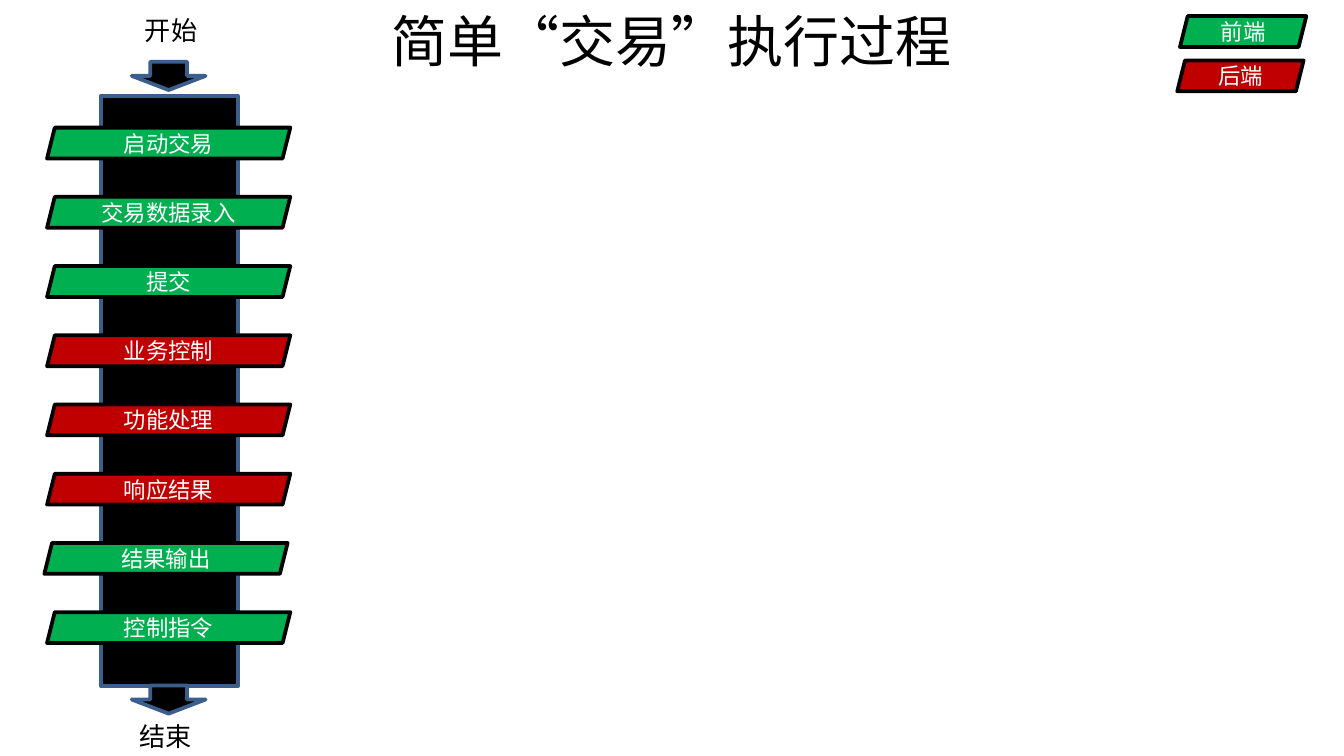
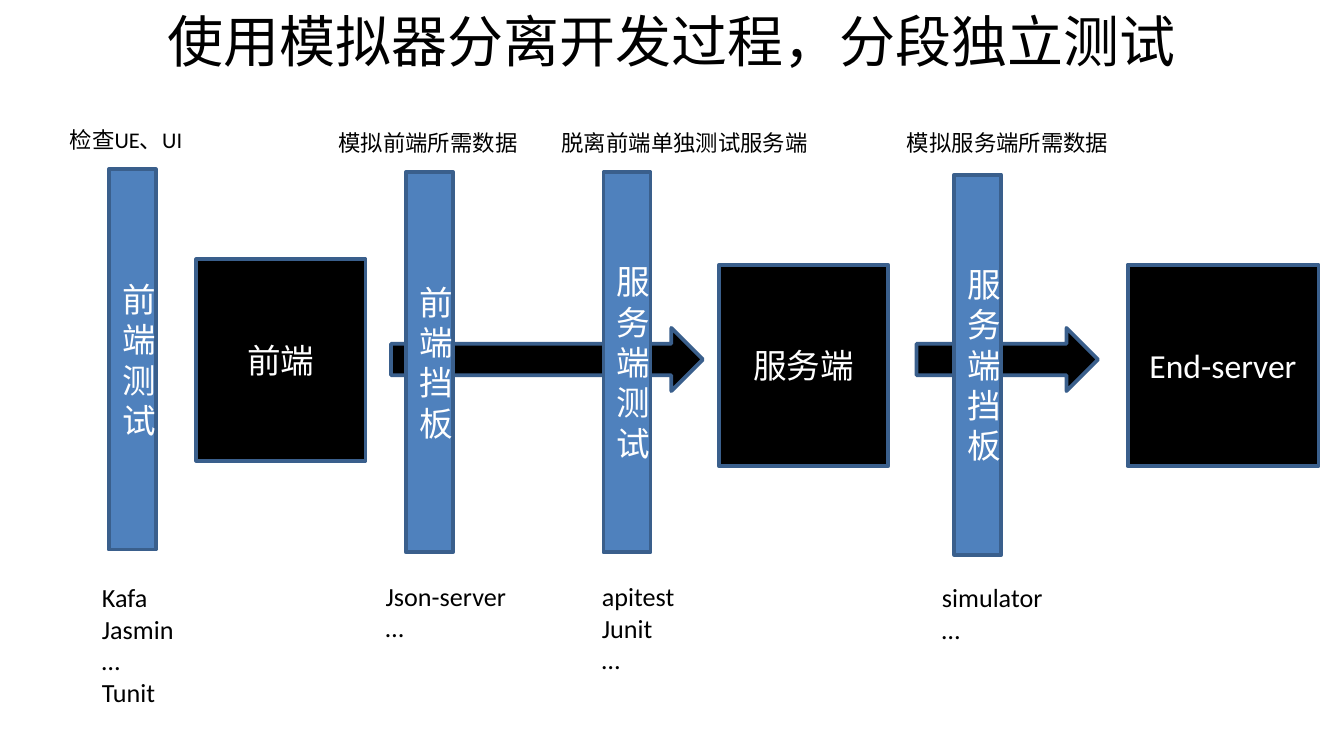
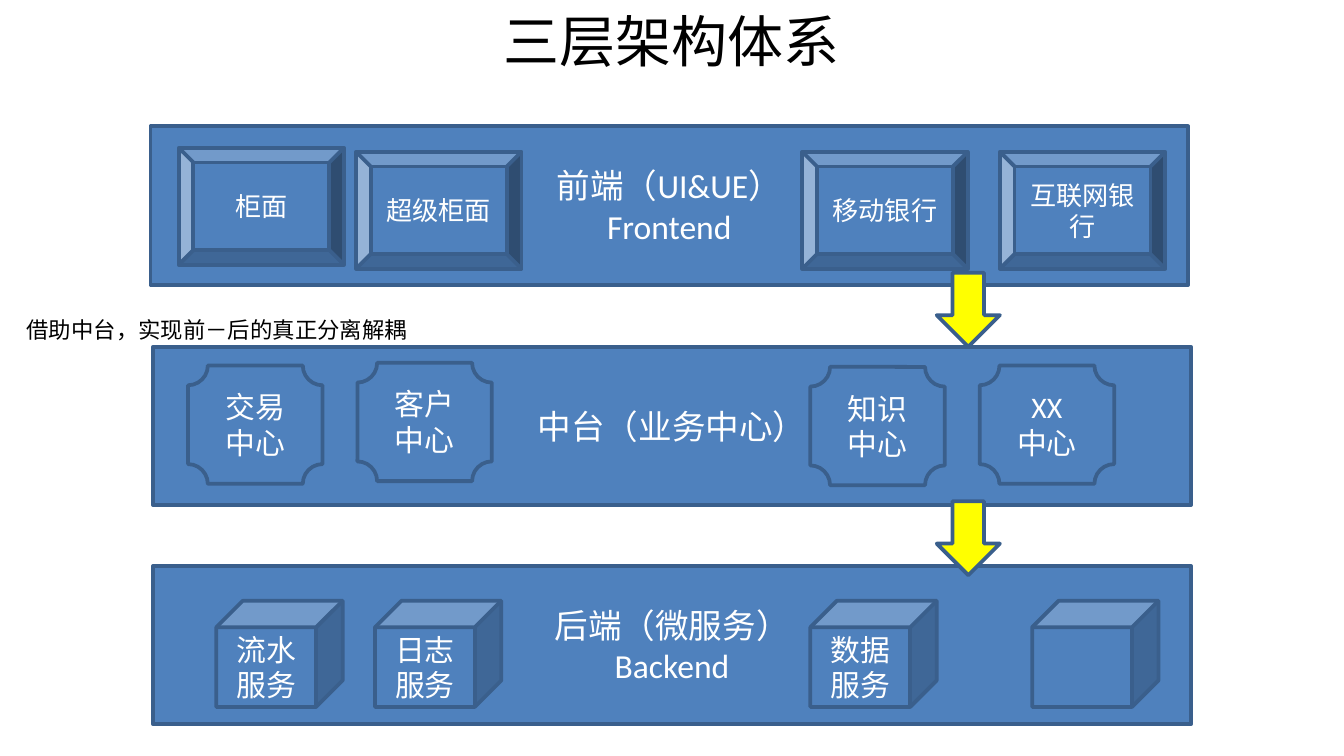
"""Build three slides on transaction flow, split testing and a layered design."""
from lxml.etree import SubElement
from pptx import Presentation
from pptx.dml.color import RGBColor
from pptx.enum.shapes import MSO_SHAPE as Kind
from pptx.enum.text import MSO_ANCHOR, MSO_AUTO_SIZE, PP_ALIGN
from pptx.oxml.ns import qn
from pptx.util import Inches, Pt

HUES = {
    "black": "000000", "white": "FFFFFF", "edge": "3A5F8C", "blue": "4F81BD",
    "green": "00B050", "red": "C00000", "gold": "FFFF00",
}
BODY, HEAD = "Calibri", "Noto Sans CJK SC"
WIDE = Inches(10)
HIGH = WIDE * 9 // 16
COL, ROW = WIDE / 100, HIGH / 56.25


def hue(name):
    """Return the named colour."""
    return RGBColor.from_string(HUES[name])


def place(left, top, wide, high):
    """Turn grid columns and rows into slide lengths."""
    return [int(n * unit) for n, unit in zip((left, top, wide, high), (COL, ROW, COL, ROW))]


def write(frame, text, size=12, color="black", font=BODY, align=PP_ALIGN.LEFT):
    """Fill a text frame, one paragraph per line."""
    for i, line in enumerate(text.split("\n")):
        para = frame.paragraphs[0] if i == 0 else frame.add_paragraph()
        para.alignment = align
        run = para.add_run()
        run.text = line
        run.font.size, run.font.name = Pt(size), font
        run.font.color.rgb = hue(color)
        SubElement(run.font._element, qn("a:ea")).set("typeface", font)


def label(slide, box, text, wrap=False, **style):
    """Add a plain text box that grows with its text."""
    frame = slide.shapes.add_textbox(*place(*box)).text_frame
    frame.word_wrap = wrap
    frame.auto_size = MSO_AUTO_SIZE.SHAPE_TO_FIT_TEXT
    write(frame, text, **style)


def draw(slide, kind, box, fill, text="", edge="edge", size=18):
    """Add a filled, outlined shape with centred white text."""
    shape = slide.shapes.add_shape(kind, *place(*box))
    shape.shadow.inherit = False
    shape.fill.solid()
    shape.fill.fore_color.rgb = hue(fill)
    shape.line.color.rgb = hue(edge)
    shape.line.width = Pt(2)
    if text:
        write(shape.text_frame, text, size=size, color="white", align=PP_ALIGN.CENTER)


def step(slide, left, top, wide, fill, text):
    """Add a slanted bar naming a step or a side."""
    draw(slide, Kind.PARALLELOGRAM, (left, top, wide, 2.3), fill, text, edge="black", size=12)


def start(deck, title):
    """Add a blank slide with its title."""
    slide = deck.slides.add_slide(deck.slide_layouts[6])
    frame = slide.shapes.add_textbox(*place(0, 0, 100, 5.5)).text_frame
    frame.word_wrap = True
    frame.vertical_anchor = MSO_ANCHOR.MIDDLE
    frame.margin_bottom = Pt(0.5)
    write(frame, title, size=30, font=HEAD, align=PP_ALIGN.CENTER)
    return slide


def flow(deck):
    """Show the steps of one transaction."""
    slide = start(deck, "简单“交易”执行过程")
    draw(slide, Kind.RECTANGLE, (7.5, 7.15, 10.2, 43.9), "black")
    for top in (4.6, 51):
        draw(slide, Kind.DOWN_ARROW, (9.8, top, 5.5, 2.1), "black")
    label(slide, (9.8, 0.6, 5.9, 3.4), "开始", size=14)
    label(slide, (9.4, 53.1, 5.9, 3.4), "结束", size=14)
    names = ("启动交易", "交易数据录入", "提交", "业务控制",
             "功能处理", "响应结果", "结果输出", "控制指令")
    for i, name in enumerate(names):
        left = 3.3 if name == "结果输出" else 3.5
        step(slide, left, 9.5 + 5.15 * i, 18.1, "red" if 3 <= i <= 5 else "green", name)
    step(slide, 87.8, 1.2, 9.4, "green", "前端")
    step(slide, 87.6, 4.5, 9.4, "red", "后端")


def split(deck):
    """Show the parts tested apart with simulators."""
    slide = start(deck, "使用模拟器分离开发过程，分段独立测试")
    blocks = ((14.6, 19.3, 12.6, "前端"), (53.5, 19.7, 12.6, "服务端"),
              (83.9, 19.7, 14.2, "End-server"))
    for left, top, wide, name in blocks:
        draw(slide, Kind.RECTANGLE, (left, top, wide, 15), "black", name)
    for left, wide in ((29.1, 23.2), (68.2, 13.5)):
        draw(slide, Kind.RIGHT_ARROW, (left, 24.4, wide, 4.7), "black")
    bars = ((30.2, 12.8, "前端挡板"), (71, 13, "服务端挡板"),
            (8.1, 12.6, "前端测试"), (44.9, 12.8, "服务端测试"))
    for left, top, name in bars:
        draw(slide, Kind.RECTANGLE, (left, top, 3.5, 28.3), "blue", name)
    label(slide, (4.2, 8.9, 10.5, 3), "检查UE、UI", wrap=True)
    tools = ((27.7, 42.7, 11.1, 5.7, "Json-server\n…"),
             (43.8, 42.7, 9, 8.1, "apitest\nJunit\n…"),
             (69.1, 42.8, 9.6, 5.7, "simulator\n…"),
             (6.6, 42.8, 7.4, 10.4, "Kafa\nJasmin\n…\nTunit"))
    for *box, names in tools:
        label(slide, box, names, size=14)
    goals = ((24.2, 15.5, "模拟前端所需数据"), (40.8, 20.6, "脱离前端单独测试服务端"),
             (66.5, 17, "模拟服务端所需数据"))
    for left, wide, goal in goals:
        label(slide, (left, 9.1, wide, 3), goal)


def tiers(deck):
    """Show the three tiers and their parts."""
    slide = start(deck, "三层架构体系")
    bands = ((11.2, 9.4, "前端（UI&UE）\nFrontend"), (11.4, 25.8, "中台（业务中心）"),
             (11.4, 42.1, "后端（微服务）\nBackend"))
    for left, top, name in bands:
        draw(slide, Kind.RECTANGLE, (left, top, 77.2, 11.8), "blue", name)
    for top in (20.3, 37.3):
        draw(slide, Kind.DOWN_ARROW, (69.7, top, 4.7, 5.5), "gold")
    parts = (
        (Kind.CUBE, 9.4, 7.9, 16,
         ((16.1, 44.7, "流水服务"), (27.9, 44.7, "日志服务"),
          (60.3, 44.7, "数据服务"), (76.8, 44.7, ""))),
        (Kind.PLAQUE, 10, 8.8, 16,
         ((14, 27.2, "交易中心"), (26.6, 27, "客户中心"),
          (60.3, 27.3, "知识中心"), (72.9, 27.2, "XX\n中心"))),
        (Kind.BEVEL, 12.3, 8.7, 14,
         ((13.3, 11, "柜面"), (26.5, 11.3, "超级柜面"),
          (59.7, 11.3, "移动银行"), (74.4, 11.3, "互联网银行"))),
    )
    for kind, wide, high, size, items in parts:
        for left, top, name in items:
            draw(slide, kind, (left, top, wide, high), "blue", name, size=size)
    label(slide, (1, 23, 30.6, 3), "借助中台，实现前－后的真正分离解耦")


def main():
    """Build and save the deck."""
    deck = Presentation()
    deck.slide_width, deck.slide_height = WIDE, HIGH
    for build in (flow, split, tiers):
        build(deck)
    deck.save("out.pptx")


if __name__ == "__main__":
    main()
